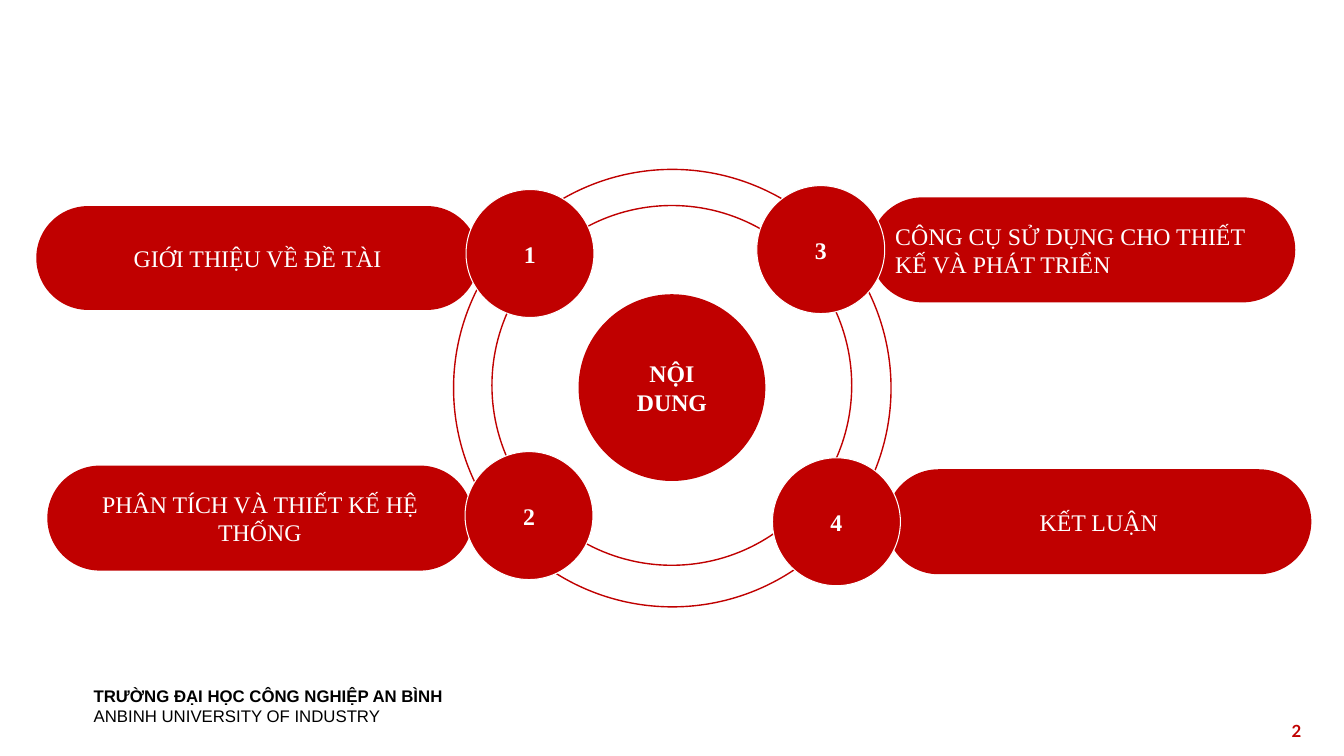
from dataclasses import dataclass

from pptx import Presentation
from pptx.dml.color import RGBColor
from pptx.enum.shapes import MSO_SHAPE
from pptx.enum.text import MSO_ANCHOR, PP_ALIGN
from pptx.shapes.autoshape import Shape
from pptx.slide import Slide
from pptx.util import Pt

COLORS = {"red": "C00000", "white": "FFFFFF", "black": "000000"}
SERIF = "Times New Roman"
BADGE_SIZE = 91.4


@dataclass(frozen=True)
class Box:
    left: float
    top: float
    width: float
    height: float


@dataclass(frozen=True)
class Topic:
    number: int
    title: str
    pill: Box
    badge_left: float
    badge_top: float
    align: PP_ALIGN = PP_ALIGN.CENTER


TOPICS = [
    Topic(1, "GIỚI THIỆU VỀ ĐỀ TÀI", Box(25.9, 147.2, 316.1, 74.2), 332.9, 135.4),
    Topic(2, "PHÂN TÍCH VÀ THIẾT KẾ HỆ THỐNG", Box(33.8, 332.6, 303.8, 75), 332.2, 322.6),
    Topic(3, "CÔNG CỤ SỬ DỤNG CHO THIẾT KẾ VÀ PHÁT TRIỂN",
          Box(621.4, 141, 303.8, 75), 540.6, 132.6, PP_ALIGN.LEFT),
    Topic(4, "KẾT LUẬN", Box(632.9, 335.2, 303.8, 75), 551.8, 327),
]


def color(name: str) -> RGBColor:
    return RGBColor.from_string(COLORS[name])


def write(shape: Shape, text: str, *, size: float = 17, font: str = SERIF,
          ink: str = "white", bold: bool = False,
          align: PP_ALIGN = PP_ALIGN.CENTER,
          anchor: MSO_ANCHOR = MSO_ANCHOR.MIDDLE, new: bool = False) -> None:
    """Write one paragraph, after the existing ones if new is set."""
    frame = shape.text_frame
    frame.word_wrap = True
    frame.vertical_anchor = anchor
    paragraph = frame.add_paragraph() if new else frame.paragraphs[0]
    paragraph.alignment = align
    run = paragraph.add_run()
    run.text = text
    run.font.size = Pt(size)
    run.font.name = font
    run.font.bold = bold
    run.font.color.rgb = color(ink)


def add_form(slide: Slide, kind: MSO_SHAPE, box: Box, fill: str = "",
             line: str = "", line_width: float = 1) -> Shape:
    shape = slide.shapes.add_shape(
        kind, Pt(box.left), Pt(box.top), Pt(box.width), Pt(box.height))
    shape.shadow.inherit = False
    if fill:
        shape.fill.solid()
        shape.fill.fore_color.rgb = color(fill)
    else:
        shape.fill.background()
    if line:
        shape.line.color.rgb = color(line)
        shape.line.width = Pt(line_width)
    else:
        shape.line.fill.background()
    return shape


def add_label(slide: Slide, box: Box) -> Shape:
    return slide.shapes.add_textbox(
        Pt(box.left), Pt(box.top), Pt(box.width), Pt(box.height))


def add_topic(slide: Slide, topic: Topic) -> None:
    pill = add_form(slide, MSO_SHAPE.ROUNDED_RECTANGLE, topic.pill, fill="red")
    pill.adjustments[0] = 0.5
    write(pill, topic.title, align=topic.align)
    badge_box = Box(topic.badge_left, topic.badge_top, BADGE_SIZE, BADGE_SIZE)
    badge = add_form(slide, MSO_SHAPE.OVAL, badge_box, "red", "white", 0.75)
    write(badge, str(topic.number), bold=True)


def main() -> None:
    deck = Presentation()
    deck.slide_width, deck.slide_height = Pt(960), Pt(540)
    slide = deck.slides.add_slide(deck.slide_layouts[6])

    # Rings around the centre
    for ring in (Box(324, 121, 312.5, 312.5), Box(351.4, 146.8, 257, 257)):
        add_form(slide, MSO_SHAPE.OVAL, ring, line="red")

    # Centre
    contents = add_form(slide, MSO_SHAPE.OVAL, Box(413.3, 210.2, 133.4, 133.4), fill="red")
    write(contents, "NỘI DUNG", bold=True)

    # Topics with their numbers
    for topic in TOPICS:
        add_topic(slide, topic)

    # University name
    university = add_label(slide, Box(59.8, 486, 300.2, 36))
    for position, (name, bold) in enumerate([
            ("TRƯỜNG ĐẠI HỌC CÔNG NGHIỆP AN BÌNH", True),
            ("ANBINH UNIVERSITY OF INDUSTRY", False)]):
        write(university, name, size=12, font="Arial", ink="black", bold=bold,
              align=PP_ALIGN.LEFT, anchor=MSO_ANCHOR.TOP, new=position > 0)

    # Page number
    page_number = add_label(slide, Box(720.7, 511.2, 216, 28.8))
    write(page_number, "2", size=12, font="Lato", ink="red", bold=True,
          align=PP_ALIGN.RIGHT, anchor=MSO_ANCHOR.TOP)

    deck.save("out.pptx")


if __name__ == "__main__":
    main()
